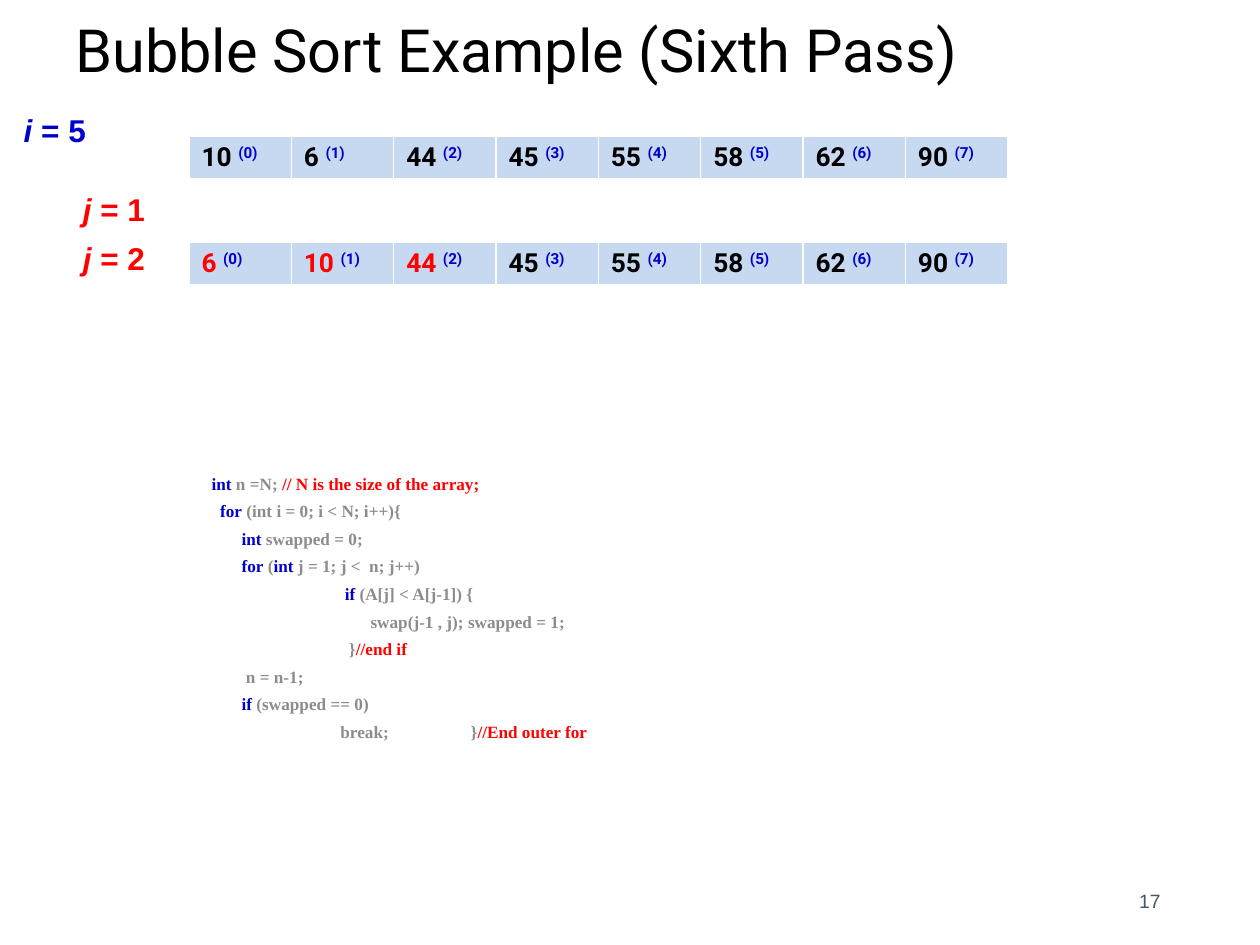
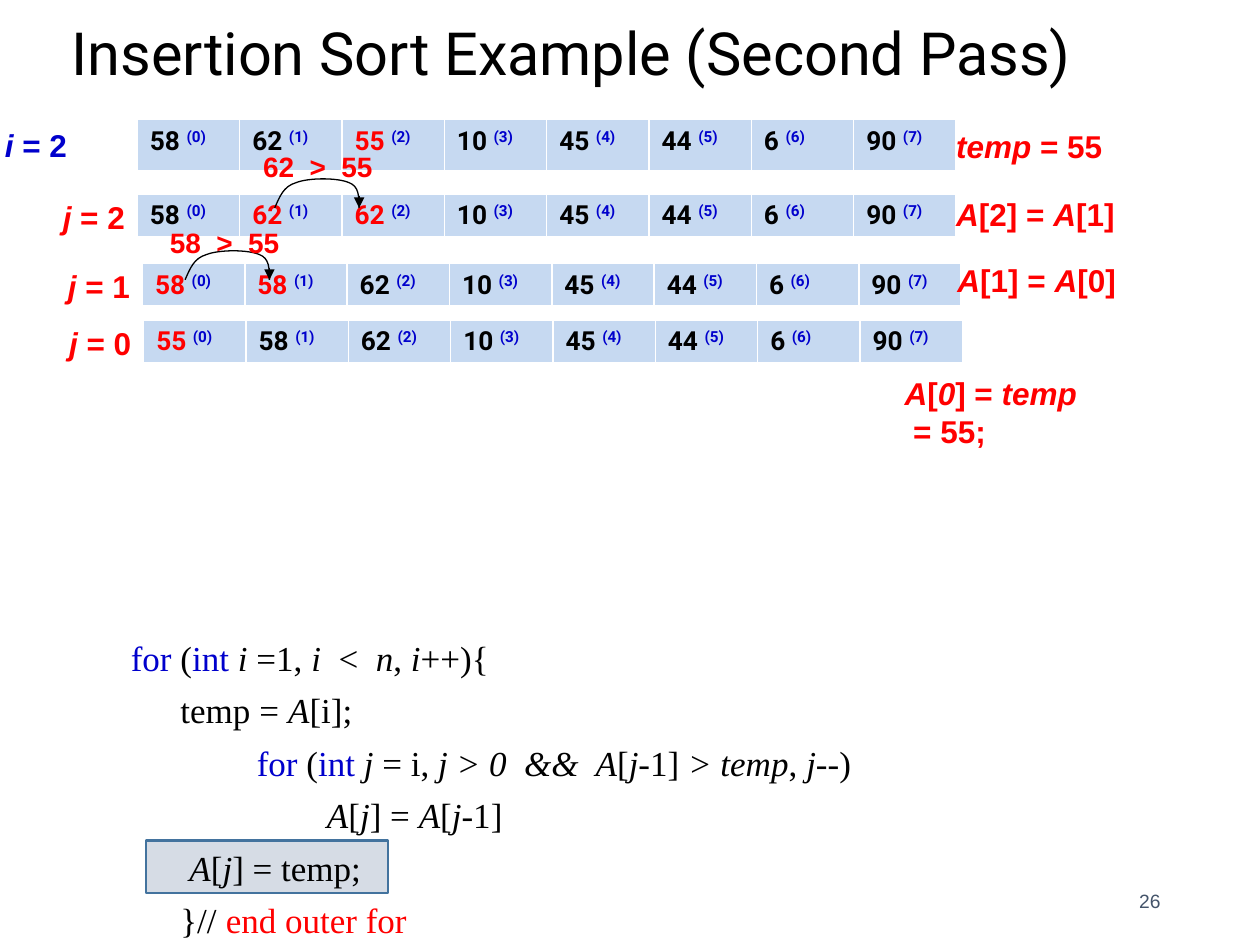
from dataclasses import dataclass
from itertools import groupby
from typing import Iterator, NamedTuple, Sequence

import pptx
import pptx.dml.color
import pptx.enum.shapes
import pptx.enum.text
import pptx.oxml
import pptx.oxml.ns
import pptx.util
from pptx.util import Pt

ANCHOR = pptx.enum.text.MSO_ANCHOR
ALIGN = pptx.enum.text.PP_ALIGN
qn = pptx.oxml.ns.qn


@dataclass(frozen=True)
class Theme:
    black: str = "000000"
    keyword: str = "0000CC"
    alert: str = "FF0000"
    muted: str = "8C8C8C"
    footer: str = "44546A"
    cell: str = "C6D9F1"
    border: str = "FFFFFF"
    highlight: str = "D6DCE5"
    highlight_line: str = "43739E"
    heading_font: str = "Roboto"
    label_font: str = "Arial"
    code_font: str = "Times New Roman"
    title_size: float = 34
    label_size: float = 18
    compare_size: float = 16
    cell_size: float = 15
    footer_size: float = 11


THEME = Theme()
# Inline marks toggle a format: italic, keyword colour, alert colour, superscript.
ITALIC, KEYWORD, ALERT, SUPER = MARKS = "~^$`"


class Box(NamedTuple):
    left: float
    top: float
    width: float
    height: float


class Line(NamedTuple):
    text: str
    indent: float = 0


class Label(NamedTuple):
    box: Box
    lines: Sequence[str]
    color: str = THEME.alert
    size: float = THEME.label_size


class ArrayState(NamedTuple):
    left: float
    top: float
    values: Sequence[int]
    changed: Sequence[int] = ()
    height: float = 25.2


class Code(NamedTuple):
    box: Box
    lines: Sequence[Line]
    format: dict


class Page(NamedTuple):
    title: str
    title_box: Box
    number: int
    arrays: Sequence[ArrayState]
    labels: Sequence[Label]
    code: Code
    shifts: Sequence[tuple[float, float]] = ()
    highlight: Box | None = None


CELL_WIDTH = 58.5
NUMBER_BOX = Box(508.3, 500.4, 162, 28.8)
# Start point and then three points for each Bezier segment.
SHIFT_CURVE = [(0, 17.3), (2.9, 10.8), (5, 5), (12.2, 2.9), (19.4, 0),
               (36, 0), (42.5, 2.9), (48.2, 5), (48.2, 10.8), (48.2, 17.3)]


def rgb(value: str) -> pptx.dml.color.RGBColor:
    return pptx.dml.color.RGBColor.from_string(value)


def marked_runs(text: str) -> Iterator[tuple[str, frozenset]]:
    """Split text at its marks, giving each piece with the marks in force."""
    active = frozenset()
    for mark, chars in groupby(text, lambda char: char if char in MARKS else ""):
        if mark:
            active ^= {mark}
        else:
            yield "".join(chars), active


def write_text(frame, lines: Sequence[Line], *, size: float, font: str,
               color: str = THEME.black, bold: bool = False, align=ALIGN.LEFT,
               anchor=ANCHOR.TOP, spacing: float = 1.0, before: float = 0,
               wrap: bool = True) -> None:
    frame.word_wrap = wrap
    frame.vertical_anchor = anchor
    frame.auto_size = (pptx.enum.text.MSO_AUTO_SIZE.NONE if wrap
                       else pptx.enum.text.MSO_AUTO_SIZE.SHAPE_TO_FIT_TEXT)
    for index, line in enumerate(lines):
        paragraph = frame.add_paragraph() if index else frame.paragraphs[0]
        paragraph.alignment = align
        paragraph.line_spacing = spacing
        paragraph.space_before = Pt(before if index else 0)
        if line.indent:
            properties = paragraph._p.get_or_add_pPr()
            properties.set("marL", str(Pt(line.indent)))
            properties.set("indent", "0")
        for piece, marks in marked_runs(line.text):
            run = paragraph.add_run()
            run.text = piece
            run.font.size, run.font.name, run.font.bold = Pt(size), font, bold
            run.font.italic = ITALIC in marks
            run_color = (THEME.keyword if KEYWORD in marks
                         else THEME.alert if ALERT in marks else color)
            run.font.color.rgb = rgb(run_color)
            if SUPER in marks:
                run._r.get_or_add_rPr().set("baseline", "30000")


def add_text(slide, box: Box, lines: Sequence[Line], **text_format) -> None:
    frame = slide.shapes.add_textbox(*map(Pt, box)).text_frame
    write_text(frame, lines, **text_format)


def add_cell_borders(cell) -> None:
    properties = cell._tc.get_or_add_tcPr()
    for position, (side, width) in enumerate(
            [("lnL", 1), ("lnR", 1), ("lnT", 1), ("lnB", 3)]):
        properties.insert(position, pptx.oxml.parse_xml(
            f'<a:{side} {pptx.oxml.ns.nsdecls("a")} w="{Pt(width)}"><a:solidFill>'
            f'<a:srgbClr val="{THEME.border}"/></a:solidFill></a:{side}>'))


def add_array(slide, state: ArrayState) -> None:
    count = len(state.values)
    box = Box(state.left, state.top, CELL_WIDTH * count, state.height)
    table = slide.shapes.add_table(1, count, *map(Pt, box)).table
    for index, value in enumerate(state.values):
        table.columns[index].width = Pt(CELL_WIDTH)
        cell = table.cell(0, index)
        cell.fill.solid()
        cell.fill.fore_color.rgb = rgb(THEME.cell)
        add_cell_borders(cell)
        mark = ALERT if index in state.changed else ""
        write_text(cell.text_frame, [Line(f"{mark}{value} {mark}^`({index})`^")],
                   size=THEME.cell_size, font=THEME.heading_font, bold=True)


def add_shift_arrow(slide, left: float, top: float) -> None:
    """Draw a curved arrow from one array cell to the next."""
    points = [(Pt(left + x), Pt(top + y)) for x, y in SHIFT_CURVE]
    builder = slide.shapes.build_freeform(*points[0])
    builder.add_line_segments(points[1:], close=False)
    curve = builder.convert_to_shape()
    curve.shadow.inherit = False
    curve.fill.background()
    outline = curve._element.find(".//" + qn("a:path"))
    segments = outline.findall(qn("a:lnTo"))
    for start in range(0, len(segments), 3):
        bezier = pptx.oxml.parse_xml(
            f'<a:cubicBezTo {pptx.oxml.ns.nsdecls("a")}/>')
        outline.append(bezier)
        for segment in segments[start:start + 3]:
            bezier.append(segment[0])
            outline.remove(segment)

    end_x, end_y = points[-1]
    tip = slide.shapes.add_connector(
        pptx.enum.shapes.MSO_CONNECTOR.STRAIGHT, end_x, points[-2][1], end_x, end_y)
    for stroke in (curve, tip):
        stroke.line.color.rgb = rgb(THEME.black)
        stroke.line.width = Pt(0.75)
    line = tip.line._get_or_add_ln()
    line.append(pptx.oxml.parse_xml(
        f'<a:tailEnd {pptx.oxml.ns.nsdecls("a")} type="triangle"/>'))
    tip._element.spPr.append(pptx.oxml.parse_xml(
        f'<a:effectLst {pptx.oxml.ns.nsdecls("a")}/>'))


def add_highlight(slide, box: Box) -> None:
    highlight = slide.shapes.add_shape(
        pptx.enum.shapes.MSO_SHAPE.RECTANGLE, *map(Pt, box))
    highlight.shadow.inherit = False
    highlight.fill.solid()
    highlight.fill.fore_color.rgb = rgb(THEME.highlight)
    highlight.line.color.rgb = rgb(THEME.highlight_line)
    highlight.line.width = Pt(1.5)


def add_page(presentation, page: Page) -> None:
    slide = presentation.slides.add_slide(presentation.slide_layouts[6])
    if page.highlight:
        add_highlight(slide, page.highlight)
    add_text(slide, page.title_box, [Line(page.title)], size=THEME.title_size,
             font=THEME.heading_font, anchor=ANCHOR.BOTTOM, spacing=0.9)
    for state in page.arrays:
        add_array(slide, state)
    for left, top in page.shifts:
        add_shift_arrow(slide, left, top)
    add_text(slide, page.code.box, page.code.lines, font=THEME.code_font,
             **page.code.format)
    for label in page.labels:
        add_text(slide, label.box, [Line(text) for text in label.lines],
                 size=label.size, font=THEME.label_font, color=label.color,
                 bold=True, wrap=False)
    add_text(slide, NUMBER_BOX, [Line(str(page.number))], size=THEME.footer_size,
             font=THEME.label_font, color=THEME.footer, align=ALIGN.RIGHT,
             anchor=ANCHOR.MIDDLE)


def counter(left: float, top: float, text: str, color: str = THEME.alert) -> Label:
    return Label(Box(left, top, 50, 29), [text], color)


def comparison(left: float, top: float, text: str) -> Label:
    return Label(Box(left, top, 77.8, 26.6), [text], size=THEME.compare_size)


BUBBLE_CODE = Code(
    Box(113.8, 270, 360, 180),
    [Line("^int^ n =N; $// N is the size of the array;$"),
     Line("  ^for^ (int i = 0; i < N; i++){"),
     Line("       ^int^ swapped = 0;"),
     Line("       ^for^ (^int^ j = 1; j <  n; j++)"),
     Line("         ^if^ (A[j] < A[j-1]) {", 54),
     Line("               swap(j-1 , j); swapped = 1;", 54),
     Line("          }$//end if$", 54),
     Line("        n = n-1;"),
     Line("       ^if ^(swapped == 0)"),
     Line("        break;                   }$//End outer for$", 54)],
    dict(size=9.8, color=THEME.muted, bold=True, spacing=0.7, before=7.5))

INSERTION_CODE = Code(
    Box(46.1, 360, 570, 168),
    [Line("^for^ (^int ^~i ~=1, ~i  ~<  ~n~, ~i~++){", 21.6),
     Line("          temp = ~A~[i];"),
     Line("^for^ (^int ^~j ~= i, ~j > 0  &&  A~[~j~-1]~ > temp~, ~j~--)", 93.6),
     Line("        ~A~[~j~] = ~A~[~j~-1]", 93.6),
     Line("           ~A~[~j~] = temp;"),
     Line("          }// $end outer for$")],
    dict(size=20, before=6))

PAGES = [
    Page("Bubble Sort Example (Sixth Pass)", Box(36, 0, 570, 52.6), 17,
         arrays=[ArrayState(108, 77.8, [10, 6, 44, 45, 55, 58, 62, 90]),
                 ArrayState(108, 138.2, [6, 10, 44, 45, 55, 58, 62, 90], (0, 1, 2))],
         labels=[counter(6.5, 59.8, "~i~ = 5", THEME.keyword),
                 counter(40.3, 105.1, "~j~ = 1"),
                 counter(40.3, 133.2, "~j~ = 2")],
         code=BUBBLE_CODE),
    Page("Insertion Sort Example (Second Pass)", Box(33.8, 1.4, 596, 52.6), 26,
         arrays=[ArrayState(78.5, 68.4, [58, 62, 55, 10, 45, 44, 6, 90], (2,), 30.2),
                 ArrayState(78.5, 110.9, [58, 62, 62, 10, 45, 44, 6, 90], (1, 2)),
                 ArrayState(81.4, 150.5, [58, 58, 62, 10, 45, 44, 6, 90], (0, 1)),
                 ArrayState(82.1, 182.9, [55, 58, 62, 10, 45, 44, 6, 90], (0,))],
         labels=[counter(-4.3, 68.4, "~i~ = 2", THEME.keyword),
                 counter(28.8, 109.4, "~j~ = 2"),
                 counter(31.7, 149, "~j~ = 1"),
                 counter(32.4, 181.4, "~j~ = 0"),
                 Label(Box(539.3, 69.1, 98, 29), ["~temp~ = 55"]),
                 Label(Box(539.3, 108, 105, 29), ["~A~[2] = ~A~[1]"]),
                 Label(Box(540, 145.4, 105, 29), ["~A~[1] = ~A~[0]"]),
                 Label(Box(509.8, 210.2, 113, 50.4), ["~A~[~0~] = ~temp~", " = 55;"]),
                 comparison(143.3, 82.1, "62  >  55"),
                 comparison(90, 125.3, "58  >  55")],
         code=INSERTION_CODE,
         shifts=[(157, 101.5), (105.8, 142.6)],
         highlight=Box(83.5, 480.2, 138.2, 30.2)),
]


def main() -> None:
    presentation = pptx.Presentation()
    presentation.slide_width, presentation.slide_height = Pt(720), Pt(540)
    for page in PAGES:
        add_page(presentation, page)
    presentation.save("out.pptx")


if __name__ == "__main__":
    main()
